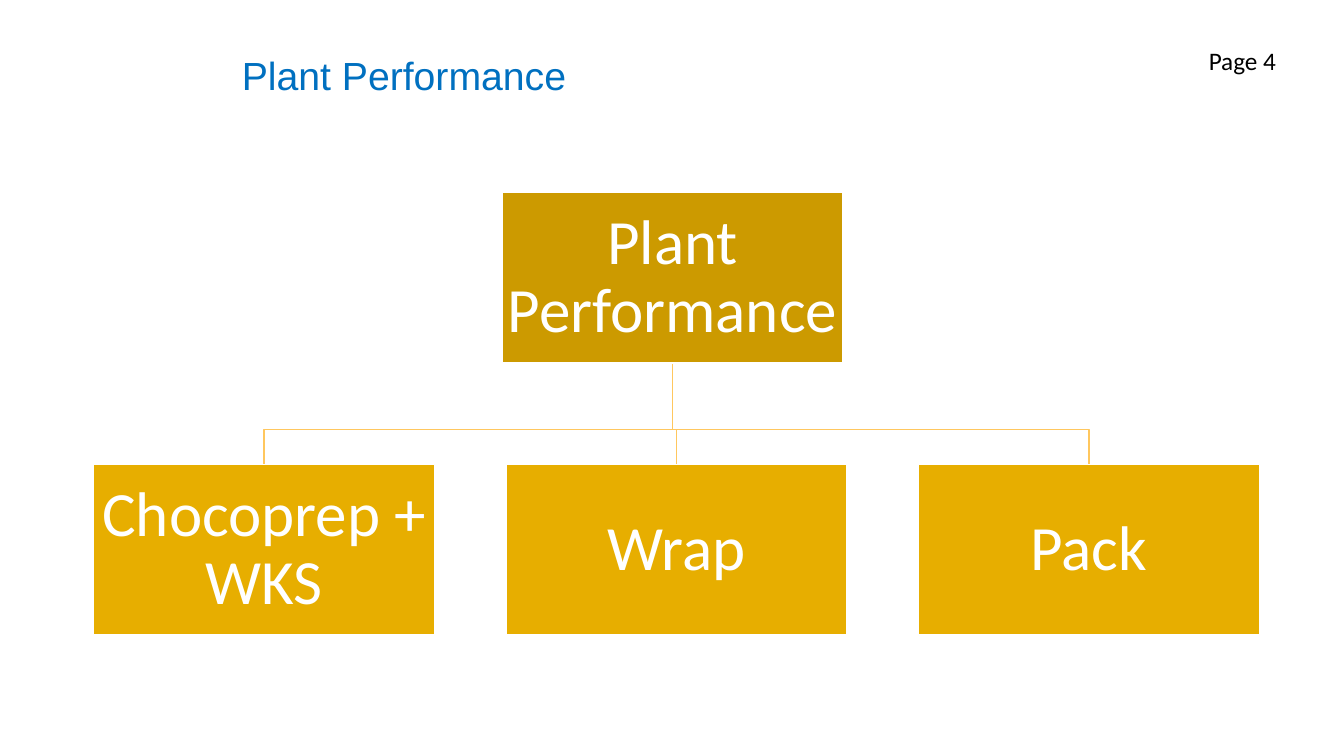
from pptx import Presentation
from pptx.dml.color import RGBColor
from pptx.enum.shapes import MSO_SHAPE
from pptx.enum.text import MSO_ANCHOR, PP_ALIGN
from pptx.util import Pt

RECT = MSO_SHAPE.RECTANGLE
TOP, MIDDLE = MSO_ANCHOR.TOP, MSO_ANCHOR.MIDDLE
LEFT, CENTER = PP_ALIGN.LEFT, PP_ALIGN.CENTER
BLANK = 6
PX = 9144  # EMU per px, 100 px to the inch

WHITE, BLACK, BLUE = "FFFFFF", "000000", "0070C0"
ROOT_GOLD, UNIT_GOLD, LINE_GOLD = "CC9A00", "E7AE00", "FFC75E"

BOX_W, BOX_H = 338, 169
ROOT_X, ROOT_Y = 498, 191
UNIT_X, UNIT_Y, UNIT_STEP = 93, 461, 409
KNEE_Y = 426
UNITS = ["Chocoprep + WKS", "Wrap", "Pack"]


def px(n):
    return n * PX


def rgb(value):
    return RGBColor.from_string(value)


def write(tf, text, size=18, font="Calibri", color=BLACK, align=LEFT,
          anchor=TOP, spacing=1.0, margin=None):
    """Fill a text frame with one formatted paragraph; margin is in px."""
    tf.word_wrap = True
    tf.vertical_anchor = anchor
    if margin is not None:
        tf.margin_left = tf.margin_right = px(margin)
        tf.margin_top = tf.margin_bottom = px(margin)
    p = tf.paragraphs[0]
    p.alignment = align
    p.line_spacing = spacing
    r = p.add_run()
    r.text = text
    r.font.size = Pt(size)
    r.font.name = font
    r.font.color.rgb = rgb(color)


class Chart:
    """Draws organisation chart elements on one slide."""

    def __init__(self, s):
        self.s = s

    def text(self, x, y, w, h, text, **style):
        tb = self.s.shapes.add_textbox(px(x), px(y), px(w), px(h))
        write(tb.text_frame, text, **style)

    def box(self, x, y, text, fill):
        sp = self.s.shapes.add_shape(RECT, px(x), px(y), px(BOX_W), px(BOX_H))
        sp.shadow.inherit = False
        sp.fill.solid()
        sp.fill.fore_color.rgb = rgb(fill)
        sp.line.color.rgb = rgb(WHITE)
        sp.line.width = Pt(1)
        write(sp.text_frame, text, size=45, color=WHITE, align=CENTER,
              anchor=MIDDLE, spacing=0.9, margin=3)

    def branch(self, x1, y1, x2, y2):
        """Draw an open line that turns twice at the knee height."""
        fb = self.s.shapes.build_freeform(x1, y1, scale=PX)
        fb.add_line_segments([(x1, KNEE_Y), (x2, KNEE_Y), (x2, y2)], close=False)
        sp = fb.convert_to_shape()
        sp.shadow.inherit = False
        sp.fill.background()
        sp.line.color.rgb = rgb(LINE_GOLD)
        sp.line.width = Pt(1)


def main():
    prs = Presentation()
    prs.slide_width, prs.slide_height = px(1333), px(750)
    chart = Chart(prs.slides.add_slide(prs.slide_layouts[BLANK]))

    chart.text(1189, 40, 115, 40, "Page 4")
    chart.text(230, 28, 571, 93, "Plant Performance", size=28, font="Arial",
               color=BLUE, anchor=MIDDLE)

    unit_xs = [UNIT_X + i * UNIT_STEP for i in range(len(UNITS))]
    half = BOX_W // 2
    for x in reversed(unit_xs):
        chart.branch(ROOT_X + half, ROOT_Y + BOX_H, x + half, UNIT_Y)
    chart.box(ROOT_X, ROOT_Y, "Plant Performance", ROOT_GOLD)
    for x, name in zip(unit_xs, UNITS):
        chart.box(x, UNIT_Y, name, UNIT_GOLD)

    prs.save("out.pptx")


if __name__ == "__main__":
    main()
